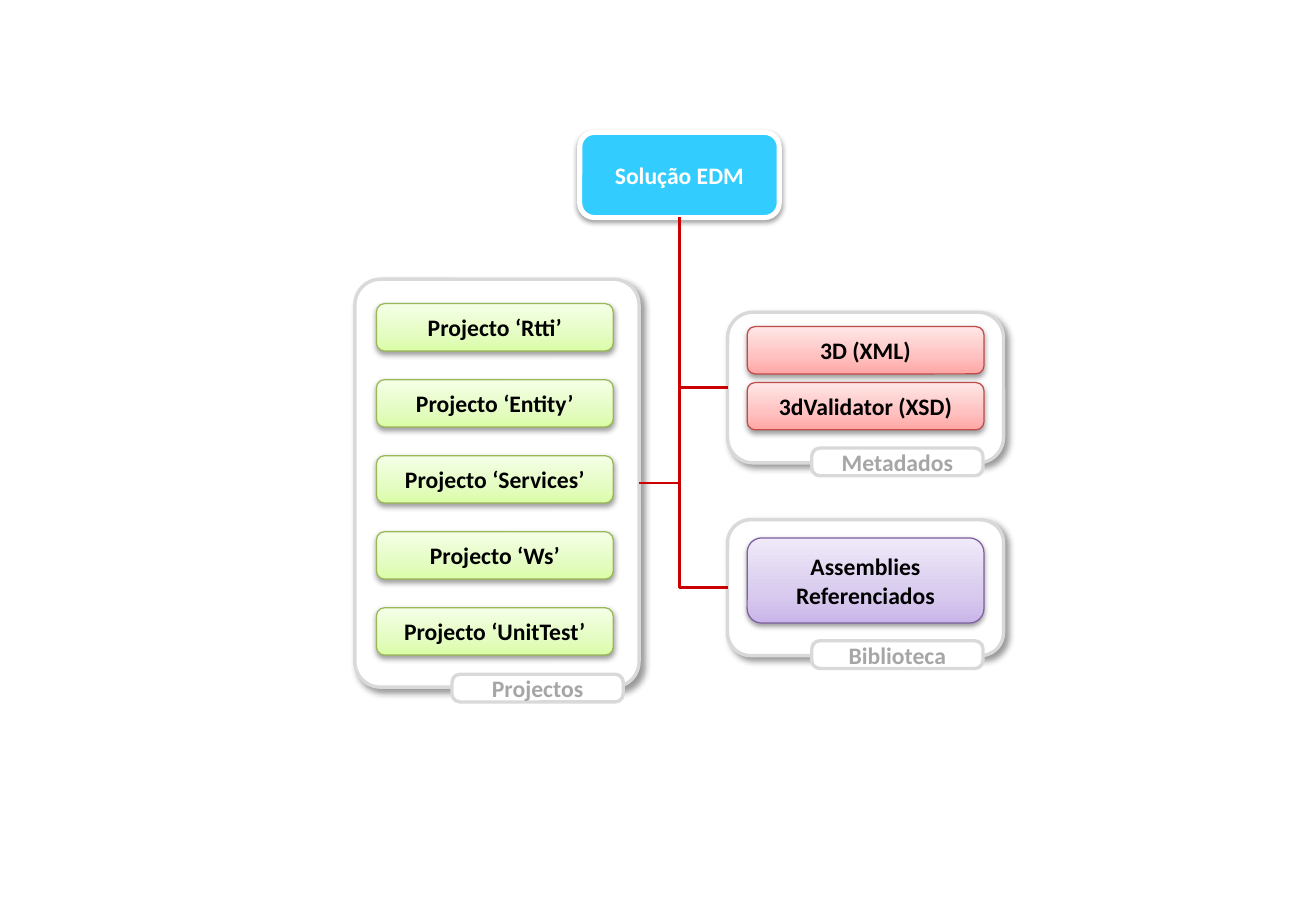
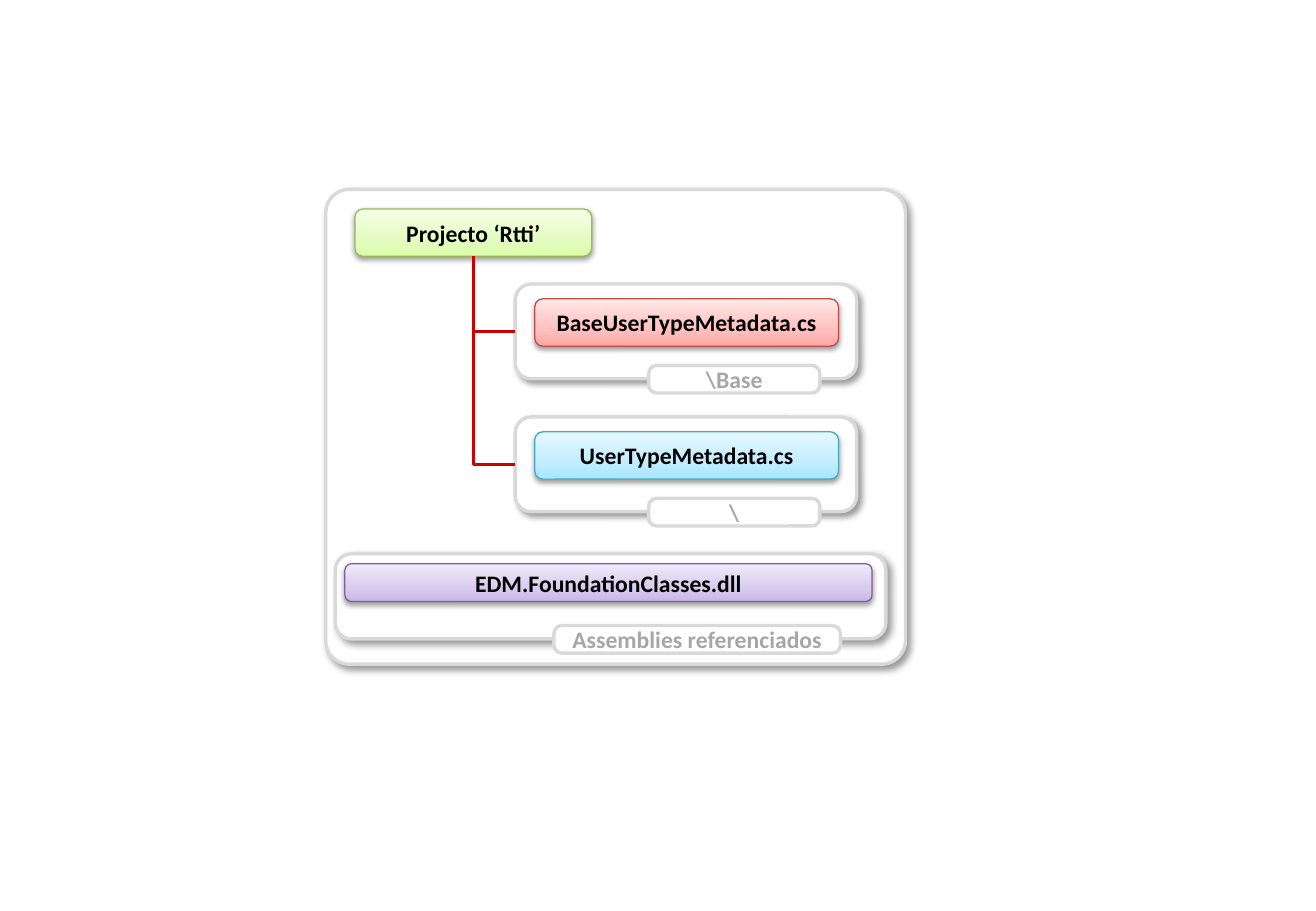
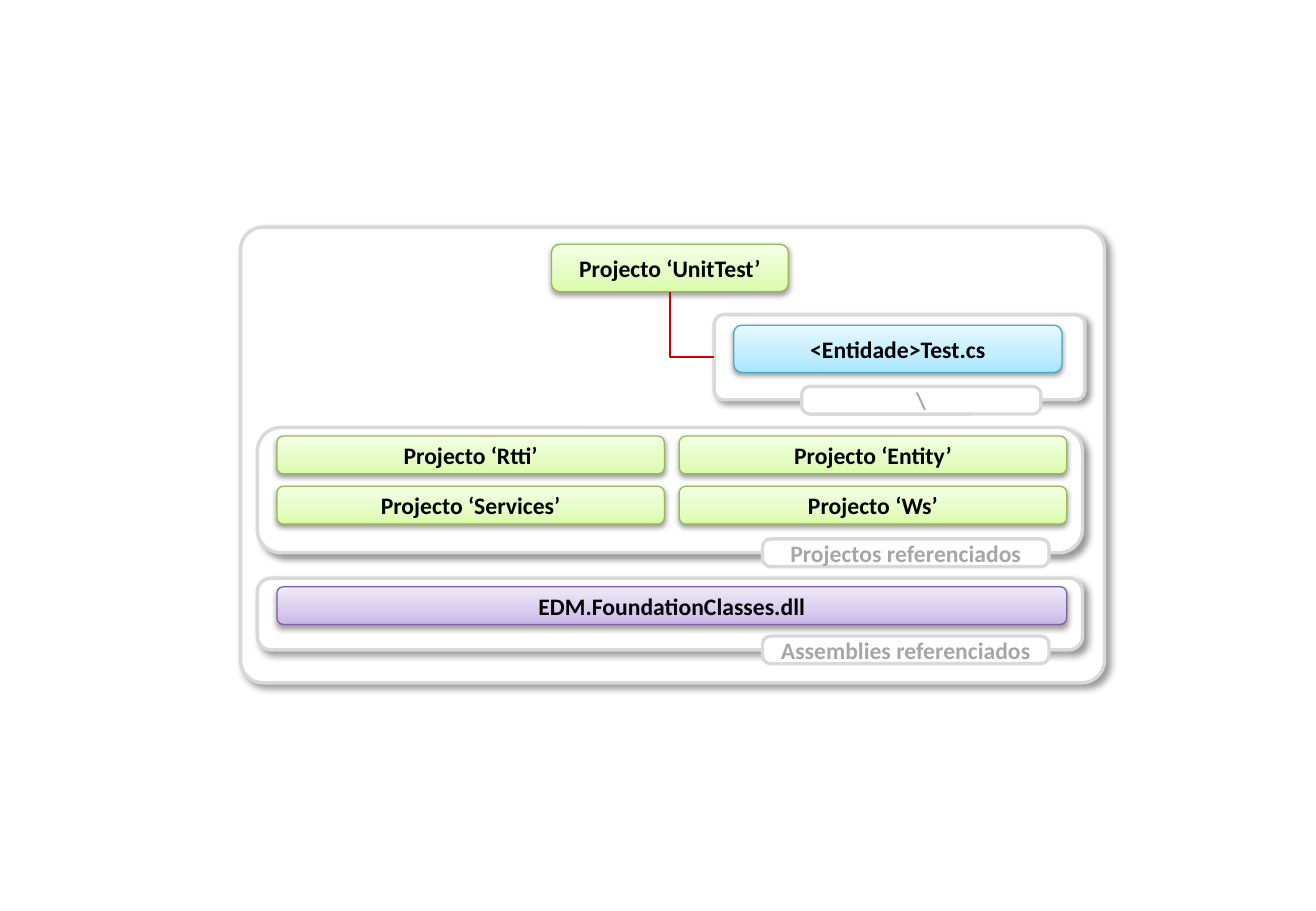
from pptx import Presentation
from pptx.dml.color import RGBColor
from pptx.enum.shapes import MSO_CONNECTOR, MSO_SHAPE
from pptx.oxml import parse_xml
from pptx.oxml.ns import nsdecls
from pptx.util import Cm, Pt

ROUND = MSO_SHAPE.ROUNDED_RECTANGLE
ELBOW = MSO_CONNECTOR.ELBOW
BOTTOM, LEFT, RIGHT = 2, 1, 3

WHITE = RGBColor(0xFF, 0xFF, 0xFF)
BLACK = RGBColor(0x00, 0x00, 0x00)
SILVER = RGBColor(0xD9, 0xD9, 0xD9)
GREY = RGBColor(0xA6, 0xA6, 0xA6)
SKY = RGBColor(0x33, 0xCC, 0xFF)
CRIMSON = RGBColor(0xCC, 0x00, 0x00)
MOSS = RGBColor(0x98, 0xB9, 0x55)
BRICK = RGBColor(0xBF, 0x4C, 0x48)
PLUM = RGBColor(0x7D, 0x60, 0xA0)
TEAL = RGBColor(0x46, 0xAA, 0xC5)

# Gradients run from the bottom edge up, with stops at 0, 35 and 100 %
LIME_FADE = [RGBColor.from_string(c) for c in ("DAFDA7", "E4FCC2", "F5FFE7")]
ROSE_FADE = [RGBColor.from_string(c) for c in ("FFA6A5", "FFC0BF", "FFE7E7")]
LILAC_FADE = [RGBColor.from_string(c) for c in ("C9B5E8", "D8CBEE", "F0EAF9")]
AQUA_FADE = [RGBColor.from_string(c) for c in ("A7E6FF", "C1EDFF", "E7F8FF")]

# Shadows: blur (pt), distance (pt), direction (degrees), opacity (%)
LOW = (3.15, 1.57, 90, 38)
SIDE = (4, 3, 45, 40)

# Style: fill, line, line width (pt), text colour, shadow, corner ratio
STYLES = {
    "root": (SKY, WHITE, 3, WHITE, LOW, 0.17),
    "panel": (WHITE, SILVER, 2, BLACK, SIDE, 0.17),
    "label": (WHITE, SILVER, 2, GREY, None, 0.29),
    "green": (LIME_FADE, MOSS, 0.75, BLACK, LOW, 0.17),
    "red": (ROSE_FADE, BRICK, 0.75, BLACK, LOW, 0.17),
    "violet": (LILAC_FADE, PLUM, 0.75, BLACK, LOW, 0.17),
    "blue": (AQUA_FADE, TEAL, 0.75, BLACK, LOW, 0.17),
}
FONT = {"name": "Calibri", "size": Pt(14), "bold": True}

BOX_W, BOX_H = 4.95, 0.99
BAR_H = 0.79
TAG_W, TAG_H = 3.58, 0.58
WIDE_TAG = 5.99


def add_box(slide, style, x, y, w, h, text="", ratio=None):
    fill, edge, width, ink, shade, bend = STYLES[style]
    box = slide.shapes.add_shape(ROUND, Cm(x), Cm(y), Cm(w), Cm(h))
    box.adjustments[0] = ratio or bend
    props = box.element.spPr
    if isinstance(fill, list):
        stops = "".join(
            f'<a:gs pos="{pos}"><a:srgbClr val="{tone}"/></a:gs>'
            for pos, tone in zip((0, 35000, 100000), fill))
        props.append(parse_xml(
            f'<a:gradFill {nsdecls("a")} rotWithShape="1"><a:gsLst>{stops}'
            '</a:gsLst><a:lin ang="16200000" scaled="0"/></a:gradFill>'))
    else:
        box.fill.solid()
        box.fill.fore_color.rgb = fill
    box.line.color.rgb = edge
    box.line.width = Pt(width)
    box.shadow.inherit = False
    if shade:
        blur, dist, turn, alpha = shade
        props[-1].append(parse_xml(
            f'<a:outerShdw {nsdecls("a")} blurRad="{Pt(blur)}" '
            f'dist="{Pt(dist)}" dir="{turn * 60000}" rotWithShape="0">'
            f'<a:srgbClr val="000000"><a:alpha val="{alpha * 1000}"/>'
            '</a:srgbClr></a:outerShdw>'))
    if text:
        run = box.text_frame.paragraphs[0].add_run()
        run.text = text
        for key, value in FONT.items():
            setattr(run.font, key, value)
        run.font.color.rgb = ink
    return box


def add_link(slide, box, side, root):
    """Join a side of the box to the bottom of the root with one bend."""
    link = slide.shapes.add_connector(ELBOW, 0, 0, 0, 0)
    link.begin_connect(box, side)
    link.end_connect(root, BOTTOM)
    link.line.color.rgb = CRIMSON
    link.line.width = Pt(1.5)
    props = link.element.spPr
    props.prstGeom.set("prst", "bentConnector2")
    props.append(parse_xml(f'<a:effectLst {nsdecls("a")}/>'))


deck = Presentation()
deck.slide_width, deck.slide_height = Cm(27.51), Cm(19.05)
blank = deck.slide_layouts[6]

# Slide 1: the solution and its parts
slide = deck.slides.add_slide(blank)
root = add_box(slide, "root", 12.12, 2.77, 4.17, 1.78, "Solução EDM")

panel = add_box(slide, "panel", 7.42, 5.84, 5.94, 8.53, ratio=0.09)
add_link(slide, panel, LEFT if panel.left > root.left else RIGHT, root)
for i, name in enumerate(("Rtti", "Entity", "Services", "Ws", "UnitTest")):
    add_box(slide, "green", 7.87, 6.35 + i * 1.59, BOX_W, BOX_H,
            f"Projecto ‘{name}’")
add_box(slide, "label", 9.45, 14.1, TAG_W, TAG_H, "Projectos")

for y, h, tag in ((6.53, 3.15, "Metadados"), (10.87, 2.84, "Biblioteca")):
    panel = add_box(slide, "panel", 15.21, y, 5.77, h)
    add_link(slide, panel, LEFT, root)
    add_box(slide, "label", 16.97, y + h - 0.31, TAG_W, TAG_H, tag)
for i, text in enumerate(("3D (XML)", "3dValidator (XSD)")):
    add_box(slide, "red", 15.62, 6.83 + i * 1.17, BOX_W, BOX_H, text)
add_box(slide, "violet", 15.62, 11.25, BOX_W, 1.78,
        "Assemblies Referenciados")

# Slide 2: the Rtti project
slide = deck.slides.add_slide(blank)
add_box(slide, "panel", 6.81, 3.96, 12.12, 9.93, ratio=0.05)
root = add_box(slide, "green", 7.42, 4.37, BOX_W, BOX_H, "Projecto ‘Rtti’")
files = (("red", "BaseUserTypeMetadata.cs", "\\Base"),
         ("blue", "UserTypeMetadata.cs", "\\"))
for i, (style, text, tag) in enumerate(files):
    y = 5.94 + i * 2.78
    panel = add_box(slide, "panel", 10.77, y, 7.14, 1.98)
    add_link(slide, panel, LEFT, root)
    add_box(slide, style, 11.18, y + 0.31, 6.35, BOX_H, text)
    add_box(slide, "label", 13.56, y + 1.7, TAG_W, TAG_H, tag)
add_box(slide, "panel", 7.01, 11.58, 11.51, 1.78, ratio=0.19)
add_box(slide, "violet", 7.21, 11.79, 11.02, BAR_H,
        "EDM.FoundationClasses.dll")
add_box(slide, "label", 11.58, 13.08, WIDE_TAG, TAG_H,
        "Assemblies referenciados")

# Slide 3: the UnitTest project
slide = deck.slides.add_slide(blank)
add_box(slide, "panel", 5.03, 4.75, 18.06, 9.53, ratio=0.05)
root = add_box(slide, "green", 11.53, 5.11, BOX_W, BOX_H,
               "Projecto ‘UnitTest’")
panel = add_box(slide, "panel", 14.93, 6.58, 7.75, 1.78, ratio=0.11)
add_link(slide, panel, LEFT, root)
add_box(slide, "blue", 15.34, 6.8, 6.86, BOX_H, "<Entidade>Test.cs")
add_box(slide, "label", 16.76, 8.08, 5, TAG_H, "\\")

refs = ((8.94, 2.62, "Projectos referenciados"),
        (12.09, 1.5, "Assemblies referenciados"))
for y, h, tag in refs:
    add_box(slide, "panel", 5.38, y, 17.25, h, ratio=0.19)
    add_box(slide, "label", 15.94, y + h - 0.29, WIDE_TAG, TAG_H, tag)
for i, name in enumerate(("Rtti", "Entity", "Services", "Ws")):
    row, col = divmod(i, 2)
    add_box(slide, "green", 5.79 + col * 8.41, 9.12 + row * 1.05, 8.1, BAR_H,
            f"Projecto ‘{name}’")
add_box(slide, "violet", 5.79, 12.27, 16.51, BAR_H,
        "EDM.FoundationClasses.dll")

deck.save("out.pptx")
